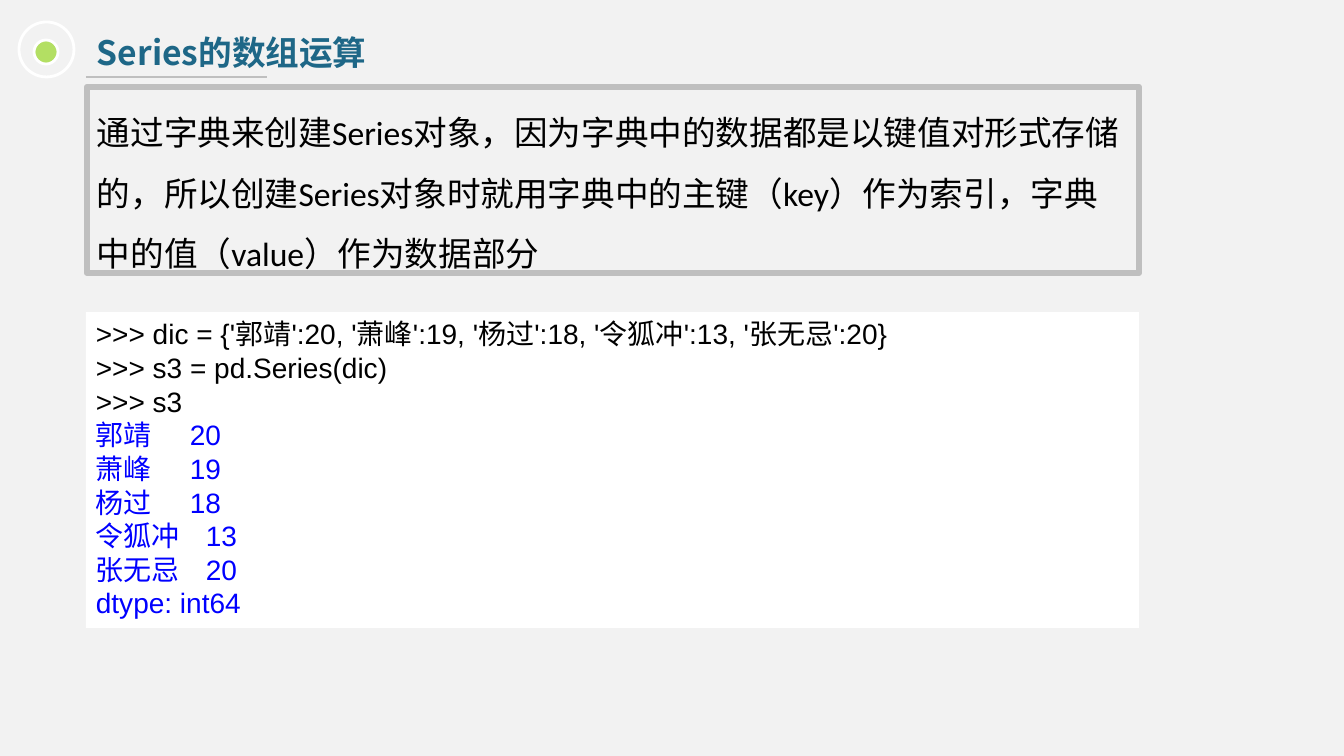
"""Build a slide on creating a Series object from a dictionary."""
from dataclasses import dataclass

from lxml import etree
from pptx import Presentation
from pptx import util as u
from pptx.dml.color import RGBColor
from pptx.enum import shapes, text
from pptx.oxml.ns import qn

EMU_PER_PX = 914400 / 100.8


@dataclass(frozen=True)
class Theme:
    paper: str = "F2F2F2"
    white: str = "FFFFFF"
    ink: str = "000000"
    heading: str = "1E6787"
    accent: str = "B3DF63"
    frame: str = "BFBFBF"
    output: str = "0000FF"
    cjk: str = "Noto Sans CJK SC"
    body: str = "Calibri"
    code: str = "Arial"
    large: int = 24
    small: int = 20


THEME = Theme()
COMMANDS = (
    ">>> dic = {'郭靖':20, '萧峰':19, '杨过':18, '令狐冲':13, '张无忌':20}",
    ">>> s3 = pd.Series(dic)",
    ">>> s3",
)
AGES = {"郭靖": 20, "萧峰": 19, "杨过": 18, "令狐冲": 13, "张无忌": 20}
TAB_BY_NAME_LENGTH = {2: 94, 3: 110}
EXPLANATION = (
    "通过字典来创建Series对象，因为字典中的数据都是以键值对形式存储的，"
    "所以创建Series对象时就用字典中的主键（key）作为索引，"
    "字典中的值（value）作为数据部分"
)


def px(length):
    return u.Emu(round(length * EMU_PER_PX))


def rgb(colour):
    return RGBColor.from_string(colour)


def apply(target, values):
    for name, value in values.items():
        setattr(target, name, value)


def add_shape(page, kind, area, fill=None, line=None, width=0):
    shape = page.shapes.add_shape(kind, *map(px, area))
    shape.shadow.inherit = False
    if fill:
        shape.fill.solid()
        shape.fill.fore_color.rgb = rgb(fill)
    else:
        shape.fill.background()
    if line:
        shape.line.color.rgb = rgb(line)
        shape.line.width = u.Pt(width)
    else:
        shape.line.fill.background()
    return shape


def add_rule(page, start, end, colour, width):
    rule = page.shapes.add_connector(
        shapes.MSO_CONNECTOR.STRAIGHT, *map(px, (*start, *end)))
    rule.line.color.rgb = rgb(colour)
    rule.line.width = u.Pt(width)
    etree.SubElement(rule._element.spPr, qn("a:effectLst"))


def prepare_frame(box, wrap=True):
    apply(box.text_frame, {
        "word_wrap": wrap,
        "auto_size": text.MSO_AUTO_SIZE.NONE,
        "vertical_anchor": text.MSO_ANCHOR.TOP,
    })
    return box.text_frame


def write(para, words, font, size, colour, bold=False, spacing=1.0):
    apply(para, {"alignment": text.PP_ALIGN.LEFT, "line_spacing": spacing})
    span = para.add_run()
    span.text = words
    apply(span.font, {"name": font, "size": u.Pt(size), "bold": bold})
    span.font.color.rgb = rgb(colour)
    east_asian = etree.SubElement(span.font._element, qn("a:ea"))
    east_asian.set("typeface", THEME.cjk)


def set_tab(para, position):
    tabs = etree.SubElement(para._p.get_or_add_pPr(), qn("a:tabLst"))
    etree.SubElement(tabs, qn("a:tab"), pos=str(px(position)), algn="l")


def add_heading(page):
    box = page.shapes.add_textbox(*map(px, (87, 27, 301, 50)))
    para = prepare_frame(box, wrap=False).paragraphs[0]
    write(para, "Series的数组运算", THEME.cjk, THEME.large, THEME.heading, bold=True)
    oval = shapes.MSO_SHAPE.OVAL
    add_shape(page, oval, (34, 40, 24, 24), THEME.accent, THEME.white, 2)
    add_shape(page, oval, (19, 22, 55, 55), line=THEME.white, width=2)
    add_rule(page, (86, 77), (267, 77), THEME.frame, 0.75)


def add_explanation(page):
    box = add_shape(page, shapes.MSO_SHAPE.RECTANGLE, (87, 87, 1052, 186),
                    line=THEME.frame, width=4.5)
    write(prepare_frame(box).paragraphs[0], EXPLANATION, THEME.body,
          THEME.large, THEME.ink, spacing=1.5)


def add_code(page):
    box = add_shape(page, shapes.MSO_SHAPE.RECTANGLE, (86, 312, 1053, 316),
                    THEME.white)
    frame = prepare_frame(box)
    lines = [(command, THEME.ink, None) for command in COMMANDS]
    lines += [(f"{name}\t{age}", THEME.output, TAB_BY_NAME_LENGTH[len(name)])
              for name, age in AGES.items()]
    lines.append(("dtype: int64", THEME.output, None))
    for number, (words, colour, tab) in enumerate(lines):
        para = frame.add_paragraph() if number else frame.paragraphs[0]
        write(para, words, THEME.code, THEME.small, colour)
        if tab:
            set_tab(para, tab)


def main():
    deck = Presentation()
    apply(deck, {"slide_width": px(1344), "slide_height": px(756)})
    page = deck.slides.add_slide(deck.slide_layouts[6])
    page.background.fill.solid()
    page.background.fill.fore_color.rgb = rgb(THEME.paper)
    add_heading(page)
    add_explanation(page)
    add_code(page)
    deck.save("out.pptx")


if __name__ == "__main__":
    main()
